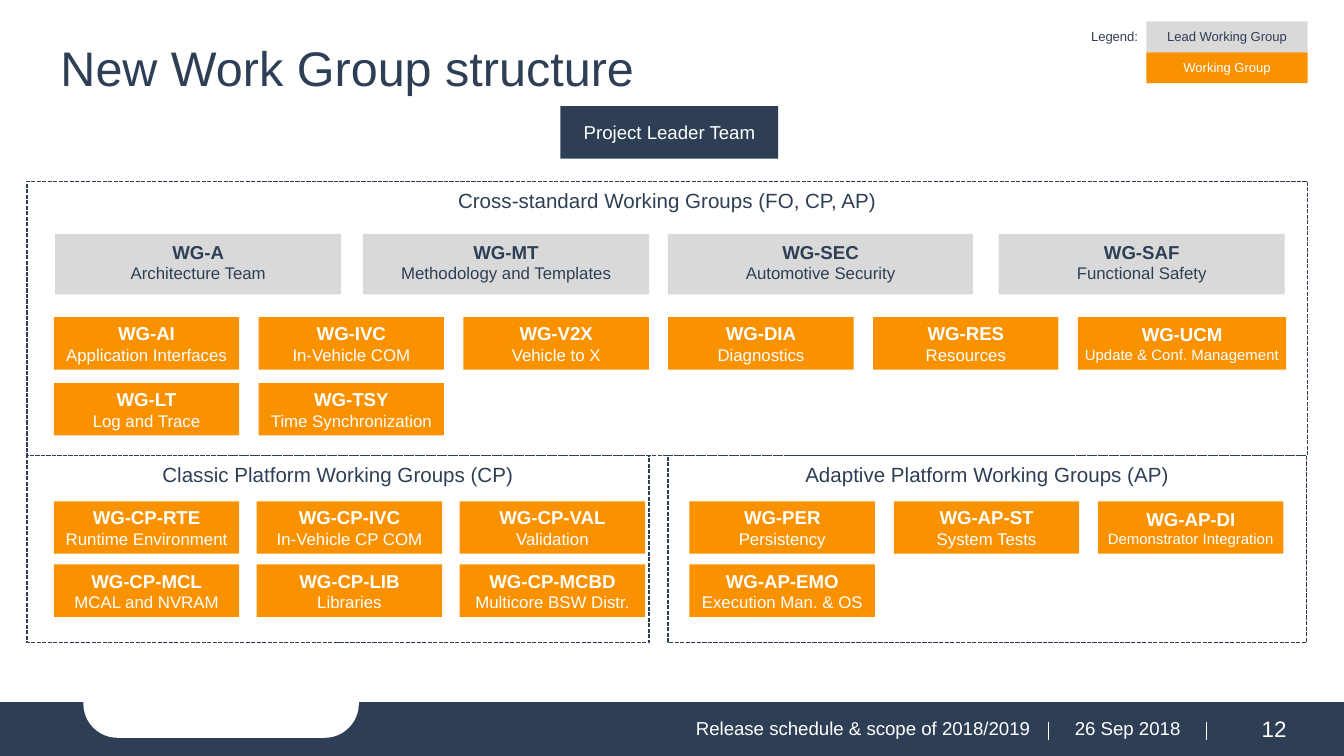
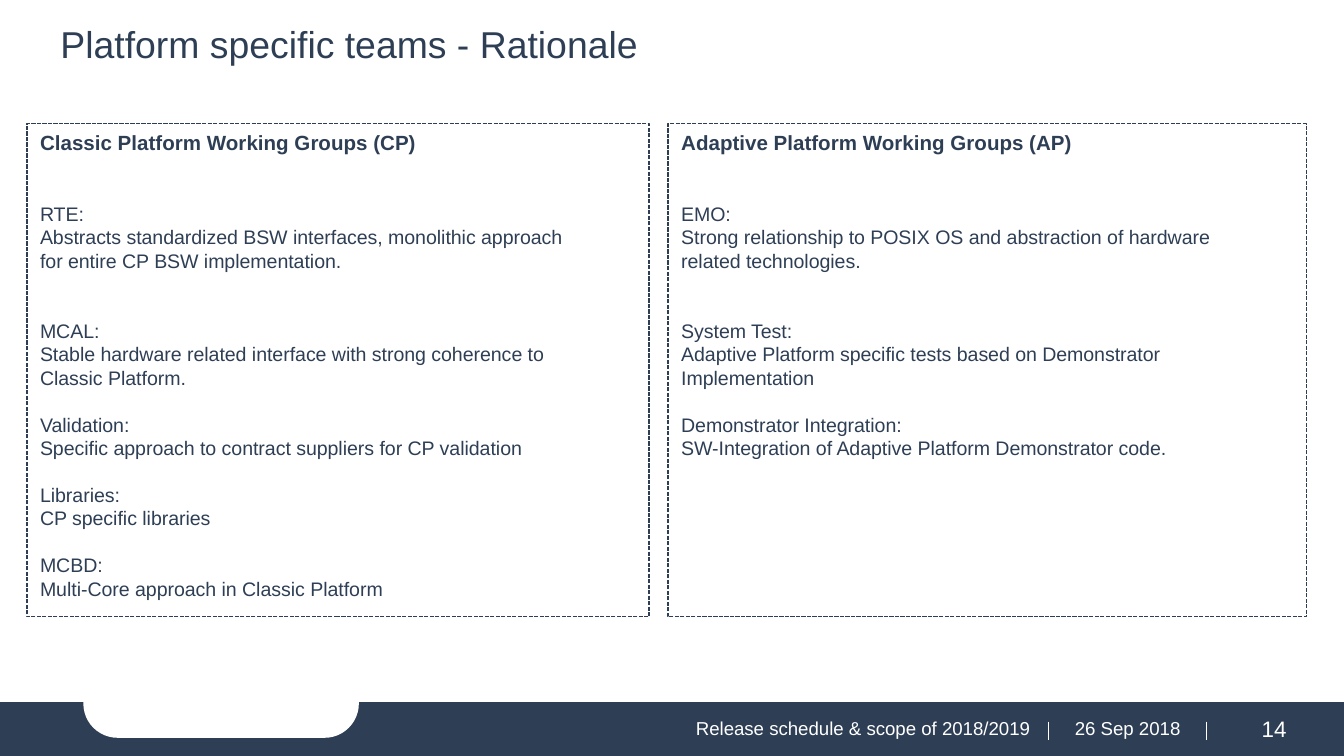
import dataclasses

import lxml.etree
import pptx
import pptx.dml.color
import pptx.enum.dml
import pptx.enum.shapes
import pptx.enum.text
import pptx.oxml.ns
import pptx.util

Inches = pptx.util.Inches
Pt = pptx.util.Pt
Align = pptx.enum.text.PP_ALIGN
Anchor = pptx.enum.text.MSO_ANCHOR
Preset = pptx.enum.shapes.MSO_SHAPE


@dataclasses.dataclass(frozen=True)
class Theme:
    font: str = "Arial"
    navy: str = "2E3F55"
    orange: str = "FA9200"
    gray: str = "D9D9D9"
    white: str = "FFFFFF"
    big_title: float = 26
    title: float = 20
    page_number: float = 12
    heading: float = 11
    body: float = 10.5
    label: float = 10
    detail: float = 9
    small_detail: float = 8
    legend: float = 7
    blank_line: float = 12.5


THEME = Theme()


@dataclasses.dataclass(frozen=True)
class Box:
    left: float
    top: float
    width: float
    height: float

    def inside(self, left, top, width, height):
        return Box(self.left + left, self.top + top, width, height)

    def lengths(self):
        return [Inches(value) for value in dataclasses.astuple(self)]


@dataclasses.dataclass(frozen=True)
class Line:
    text: str
    size: float
    color: str = THEME.navy
    bold: bool = False
    align: Align = Align.CENTER
    before: float = 0


SLIDE = Box(0, 0, 10, 10 * 9 / 16)
FOOTER = Box(0, 5.23, 10, 0.4)
CARD_WIDTH, CARD_HEIGHT = 1.38, 0.39

LEAD_GROUPS = [
    (0.21, 2.13, "WG-A", "Architecture Team"),
    (2.5, 2.13, "WG-MT", "Methodology and Templates"),
    (4.77, 2.27, "WG-SEC", "Automotive Security"),
    (7.23, 2.13, "WG-SAF", "Functional Safety"),
]
CROSS_GROUPS = [
    [("WG-AI", "Application Interfaces"), ("WG-IVC", "In-Vehicle COM"),
     ("WG-V2X", "Vehicle to X"), ("WG-DIA", "Diagnostics"),
     ("WG-RES", "Resources"), ("WG-UCM", "Update & Conf. Management")],
    [("WG-LT", "Log and Trace"), ("WG-TSY", "Time Synchronization")],
]
CLASSIC_GROUPS = [
    [("WG-CP-RTE", "Runtime Environment"), ("WG-CP-IVC", "In-Vehicle CP COM"),
     ("WG-CP-VAL", "Validation")],
    [("WG-CP-MCL", "MCAL and NVRAM"), ("WG-CP-LIB", "Libraries"),
     ("WG-CP-MCBD", "Multicore BSW Distr.")],
]
ADAPTIVE_GROUPS = [
    [("WG-PER", "Persistency"), ("WG-AP-ST", "System Tests"),
     ("WG-AP-DI", "Demonstrator Integration")],
    [("WG-AP-EMO", "Execution Man. & OS")],
]
WIDE_CARDS = {"WG-UCM": 1.55}
LONG_DETAILS = {"WG-UCM", "WG-AP-DI"}

CLASSIC_HEADING = "Classic Platform Working Groups (CP)"
ADAPTIVE_HEADING = "Adaptive Platform Working Groups (AP)"
CLASSIC_TEAMS = [
    (2, ["RTE:", "Abstracts standardized BSW interfaces, monolithic approach",
         "for entire CP BSW implementation."]),
    (2, ["MCAL:", "Stable hardware related interface with strong coherence to",
         "Classic Platform."]),
    (1, ["Validation:", "Specific approach to contract suppliers for CP validation"]),
    (1, ["Libraries:", "CP specific libraries"]),
    (1, ["MCBD:", "Multi-Core approach in Classic Platform"]),
]
ADAPTIVE_TEAMS = [
    (2, ["EMO:", "Strong relationship to POSIX OS and abstraction of hardware",
         "related technologies."]),
    (2, ["System Test:", "Adaptive Platform specific tests based on Demonstrator",
         "Implementation"]),
    (1, ["Demonstrator Integration:",
         "SW-Integration of Adaptive Platform Demonstrator code."]),
]


def rgb(color):
    return pptx.dml.color.RGBColor.from_string(color)


def apply_format(target, values):
    for name, value in values.items():
        setattr(target, name, value)


def write_text(shape, lines, anchor=Anchor.TOP, wrap=True):
    frame = shape.text_frame
    apply_format(frame, {
        "auto_size": pptx.enum.text.MSO_AUTO_SIZE.NONE,
        "word_wrap": wrap,
        "vertical_anchor": anchor,
    })
    for index, line in enumerate(lines):
        paragraph = frame.add_paragraph() if index else frame.paragraphs[0]
        apply_format(paragraph, {
            "alignment": line.align,
            "space_before": Pt(line.before),
        })
        run = paragraph.add_run()
        run.text = line.text
        apply_format(run.font, {
            "name": THEME.font, "size": Pt(line.size), "bold": line.bold,
        })
        run.font.color.rgb = rgb(line.color)


def add_block(slide, box, fill=None, preset=Preset.RECTANGLE):
    shape = slide.shapes.add_shape(preset, *box.lengths())
    shape.shadow.inherit = False
    shape.line.fill.background()
    if fill:
        shape.fill.solid()
        shape.fill.fore_color.rgb = rgb(fill)
    else:
        shape.fill.background()
    return shape


def add_label(slide, box, line, anchor=Anchor.MIDDLE, wrap=True):
    write_text(slide.shapes.add_textbox(*box.lengths()), [line], anchor, wrap)


def add_title(slide, box, text, size):
    title = slide.shapes.title
    apply_format(title, dict(zip(("left", "top", "width", "height"), box.lengths())))
    write_text(title, [Line(text, size, align=Align.LEFT)])


def add_separator(slide, left, top, height):
    connector = slide.shapes.add_connector(
        pptx.enum.shapes.MSO_CONNECTOR.STRAIGHT,
        Inches(left), Inches(top), Inches(left), Inches(top + height))
    connector.line.color.rgb = rgb(THEME.white)
    connector.line.width = Pt(0.5)
    lxml.etree.SubElement(
        connector._element.spPr, pptx.oxml.ns.qn("a:effectLst"))


def add_footer(slide, box, page):
    band = add_block(slide, box, THEME.navy)
    band.line.color.rgb = rgb(THEME.navy)
    band.line.width = Pt(0.75)
    notch = add_block(slide, box.inside(0.62, -0.25, 2.05, 0.51),
                      THEME.white, Preset.ROUNDED_RECTANGLE)
    notch.adjustments[0] = 0.5
    for left in (7.8, 8.98):
        add_separator(slide, box.left + left, box.top + 0.14, 0.14)
    for left, width, text, size, align in (
        (3.57, 4.19, "Release schedule & scope of 2018/2019", THEME.label, Align.RIGHT),
        (7.84, 1.1, "26 Sep 2018", THEME.label, Align.CENTER),
        (9.02, 0.92, page, THEME.page_number, Align.CENTER),
    ):
        add_label(slide, box.inside(left, 0.04, width, 0.3),
                  Line(text, size, THEME.white, align=align))


def add_panel(slide, box, lines):
    panel = add_block(slide, box)
    panel.line.color.rgb = rgb(THEME.navy)
    apply_format(panel.line, {
        "width": Pt(0.75),
        "dash_style": pptx.enum.dml.MSO_LINE.SQUARE_DOT,
    })
    write_text(panel, lines)


def add_card(slide, box, name, detail, fill, color, anchor):
    size = THEME.small_detail if name in LONG_DETAILS else THEME.detail
    lines = [Line(name, THEME.label, color, bold=True), Line(detail, size, color)]
    write_text(add_block(slide, box, fill), lines, anchor, wrap=False)


def add_group_panel(slide, box, heading, rows, origin, pitch):
    add_panel(slide, box, [Line(heading, THEME.heading)])
    for row, groups in enumerate(rows):
        for column, (name, detail) in enumerate(groups):
            card = box.inside(origin[0] + column * pitch[0],
                              origin[1] + row * pitch[1],
                              WIDE_CARDS.get(name, CARD_WIDTH), CARD_HEIGHT)
            add_card(slide, card, name, detail,
                     THEME.orange, THEME.white, Anchor.MIDDLE)


def add_lead_groups(slide, box):
    for left, width, name, detail in LEAD_GROUPS:
        add_card(slide, box.inside(left, 0.39, width, 0.45), name, detail,
                 THEME.gray, THEME.navy, Anchor.TOP)


def add_legend(slide, box):
    add_label(slide, box.inside(0, 0, 0.56, 0.22),
              Line("Legend:", THEME.legend, align=Align.LEFT), Anchor.TOP, wrap=False)
    entries = [("Lead Working Group", THEME.gray, THEME.navy),
               ("Working Group", THEME.orange, THEME.white)]
    height = box.height / len(entries)
    for index, (text, fill, color) in enumerate(entries):
        entry = add_block(slide, box.inside(0.51, index * height, 1.2, height), fill)
        write_text(entry, [Line(text, THEME.legend, color)], wrap=False)


def add_team_panel(slide, box, heading, teams):
    lines = [Line(heading, THEME.heading, bold=True, align=Align.LEFT)]
    for blanks, texts in teams:
        for index, text in enumerate(texts):
            before = 0 if index else blanks * THEME.blank_line
            lines.append(Line(text, THEME.body, align=Align.LEFT, before=before))
    add_panel(slide, box, lines)


def add_base_slide(presentation, title, size, top, page):
    slide = presentation.slides.add_slide(presentation.slide_layouts[5])
    add_title(slide, SLIDE.inside(0.35, top, 9.2, 0.53), title, size)
    add_footer(slide, FOOTER, page)
    return slide


def build_structure_slide(presentation):
    slide = add_base_slide(
        presentation, "New Work Group structure", THEME.big_title, 0.23, "12")
    add_legend(slide, SLIDE.inside(8.02, 0.16, 1.71, 0.46))
    leader = add_block(slide, SLIDE.inside(4.17, 0.79, 1.62, 0.39), THEME.navy)
    write_text(leader, [Line("Project Leader Team", THEME.label, THEME.white)],
               Anchor.MIDDLE)
    cross = SLIDE.inside(0.2, 1.35, 9.53, 2.04)
    add_group_panel(slide, cross, "Cross-standard Working Groups (FO, CP, AP)",
                    CROSS_GROUPS, (0.2, 1.01), (7.62 / 5, 0.49))
    add_lead_groups(slide, cross)
    add_group_panel(slide, SLIDE.inside(0.2, 3.39, 4.63, 1.39), CLASSIC_HEADING,
                    CLASSIC_GROUPS, (0.2, 0.34), (1.51, 0.47))
    add_group_panel(slide, SLIDE.inside(4.97, 3.39, 4.75, 1.39), ADAPTIVE_HEADING,
                    ADAPTIVE_GROUPS, (0.16, 0.34), (1.52, 0.47))


def build_rationale_slide(presentation):
    slide = add_base_slide(
        presentation, "Platform specific teams - Rationale", THEME.title, 0.11, "14")
    add_team_panel(slide, SLIDE.inside(0.2, 0.92, 4.63, 3.67),
                   CLASSIC_HEADING, CLASSIC_TEAMS)
    add_team_panel(slide, SLIDE.inside(4.97, 0.92, 4.75, 3.67),
                   ADAPTIVE_HEADING, ADAPTIVE_TEAMS)


def main():
    presentation = pptx.Presentation()
    apply_format(presentation, {
        "slide_width": Inches(SLIDE.width),
        "slide_height": Inches(SLIDE.height),
    })
    build_structure_slide(presentation)
    build_rationale_slide(presentation)
    presentation.save("out.pptx")


if __name__ == "__main__":
    main()
